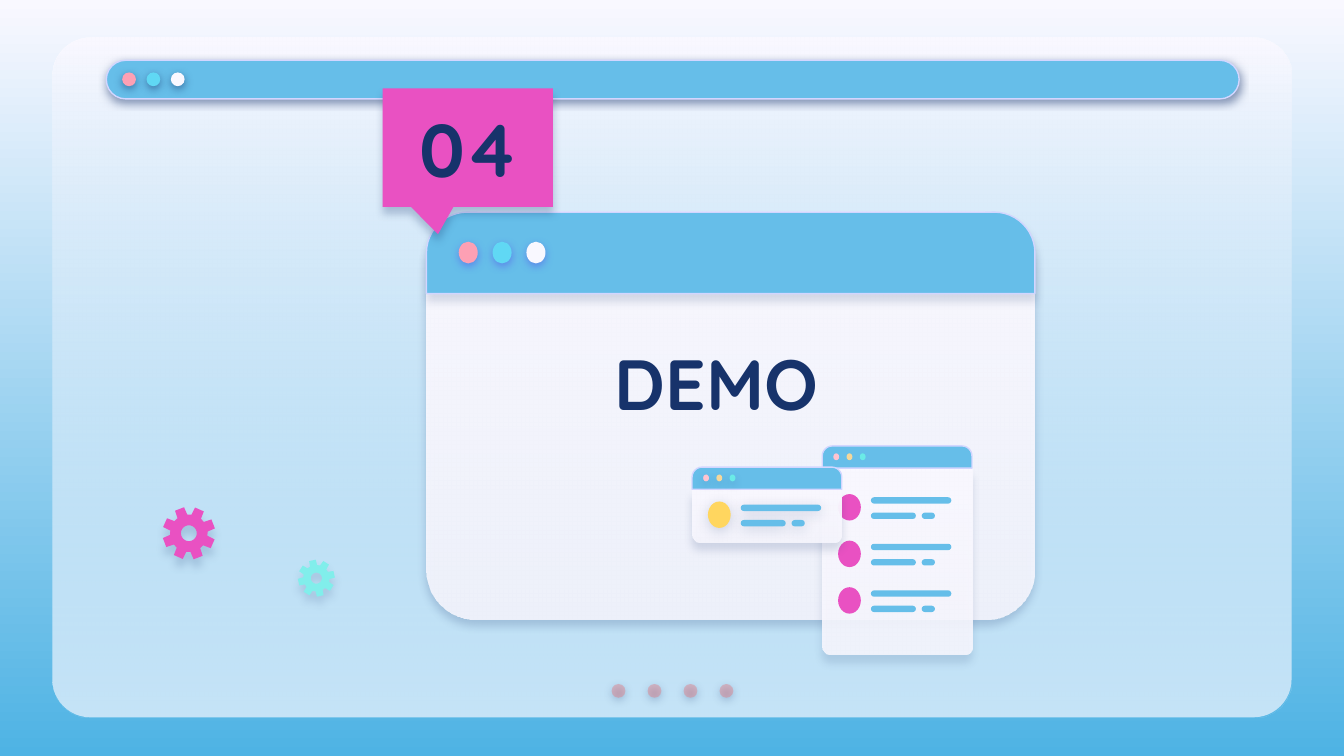
from dataclasses import dataclass
from math import cos, radians, sin
from typing import Optional

from lxml import etree
from pptx import Presentation
from pptx.dml import color
from pptx.enum import shapes, text
from pptx.oxml import ns
from pptx.util import Cm, Pt

COLOURS = {
    "navy": "17336B", "indigo": "5352EE", "white": "F9F8FF", "sky": "66BEE9",
    "deep": "4EB3E4", "edge": "D2D6FF", "magenta": "E951C2", "rose": "E27B83",
    "pink": "FDA0B4", "cyan": "60D8F4", "blush": "FFC3D0", "sand": "F5D79B",
    "aqua": "6AEBE7", "yellow": "FFD65F", "mint": "81EEEB",
}
KIND = shapes.MSO_SHAPE
WINDOW_DOTS = ("pink", "cyan", "white")
CARD_DOTS = ("blush", "sand", "aqua")


@dataclass
class Box:
    """Position and size in centimetres."""
    left: float
    top: float
    width: float
    height: float

    def lengths(self) -> list:
        return [Cm(v) for v in (self.left, self.top, self.width, self.height)]


@dataclass
class Shade:
    """Soft shadow falling downwards; blur and distance in points."""
    alpha: int
    blur: float = 4.5
    distance: float = 1.5
    colour: str = "navy"


@dataclass
class Style:
    fill: str
    alpha: int = 100
    fade: Optional[str] = None  # lower gradient colour, which alpha applies to
    edge: bool = False
    shade: Optional[Shade] = None


@dataclass
class Card:
    left: float
    top: float
    body: float
    first_row: float
    rows: int
    avatar: str
    shade: Shade
    dot_shade: Optional[Shade] = None
    row_shade: Optional[Shade] = None


def rgb(name: str) -> color.RGBColor:
    return color.RGBColor.from_string(COLOURS[name])


def add_alpha(element, percent: float) -> None:
    etree.SubElement(element, ns.qn("a:alpha"), val=str(int(percent * 1000)))


def blend(fill, top: str, bottom: str) -> None:
    fill.gradient()
    fill.gradient_angle = 270
    for stop, name in zip(fill.gradient_stops, (top, bottom)):
        stop.color.rgb = rgb(name)


def paint(shape, style: Style) -> None:
    if style.fade:
        blend(shape.fill, style.fill, style.fade)
    else:
        shape.fill.solid()
        shape.fill.fore_color.rgb = rgb(style.fill)
    properties = shape.element.spPr
    if style.alpha < 100:
        add_alpha(list(properties.iter(ns.qn("a:srgbClr")))[-1], style.alpha)
    if style.edge:
        shape.line.color.rgb = rgb("edge")
        shape.line.width = Pt(0.75)
    else:
        shape.line.fill.background()
    shape.shadow.inherit = False
    if style.shade:
        shade = style.shade
        outer = etree.SubElement(
            properties.find(ns.qn("a:effectLst")), ns.qn("a:outerShdw"),
            blurRad=str(Pt(shade.blur)), dist=str(Pt(shade.distance)),
            dir="5400000", algn="bl", rotWithShape="0")
        tint = etree.SubElement(outer, ns.qn("a:srgbClr"), val=COLOURS[shade.colour])
        add_alpha(tint, shade.alpha)


def draw(page, kind, box: Box, style: Style, *adjustments: float) -> None:
    shape = page.shapes.add_shape(kind, *box.lengths())
    for index, value in enumerate(adjustments):
        shape.adjustments[index] = value
    paint(shape, style)


def draw_dots(page, first: Box, pitch: float, names, shade=None, alpha=100) -> None:
    for index, name in enumerate(names):
        box = Box(first.left + index * pitch, first.top, first.width, first.height)
        draw(page, KIND.OVAL, box, Style(name, alpha, shade=shade))


def draw_card(page, card: Card) -> None:
    width, header = 2.83, 0.42
    draw(page, KIND.ROUND_2_SAME_RECTANGLE,
         Box(card.left, card.top + header, width, card.body),
         Style("white", 87, "white", shade=card.shade), 0, 0.16 / min(width, card.body))
    draw(page, KIND.ROUND_2_SAME_RECTANGLE, Box(card.left, card.top, width, header),
         Style("sky", edge=True), 0.45, 0)
    draw_dots(page, Box(card.left + 0.21, card.top + 0.14, 0.11, 0.13), 0.25,
              CARD_DOTS, card.dot_shade)
    bar = Style("sky", shade=card.row_shade)
    for row in range(card.rows):
        top = card.top + card.first_row + row * 0.88
        draw(page, KIND.OVAL, Box(card.left + 0.3, top, 0.43, 0.5),
             Style(card.avatar, shade=card.row_shade))
        for left, drop, length in ((0.92, 0.06, 1.52), (0.92, 0.35, 0.85), (1.88, 0.35, 0.25)):
            draw(page, KIND.ROUNDED_RECTANGLE,
                 Box(card.left + left, top + drop, length, 0.12), bar, 0.5)


def draw_gear(page, x: float, y: float, radius: float, tilt: float, style: Style) -> None:
    def point(angle: float, reach: float) -> tuple:
        turn = radians(angle)
        return Cm(x + radius * reach * sin(turn)), Cm(y - radius * reach * cos(turn))

    profile = ((-16, 0.71), (-10.5, 1), (10.5, 1), (16, 0.71))
    rim = [point(tilt + 45 * tooth + angle, reach)
           for tooth in range(8) for angle, reach in profile]
    hole = [point(-angle, 0.3) for angle in range(0, 360, 15)]
    builder = page.shapes.build_freeform(*rim[0])
    builder.add_line_segments(rim[1:], close=True)
    builder.move_to(*hole[0])
    builder.add_line_segments(hole[1:], close=True)
    paint(builder.convert_to_shape(), style)


def write(holder, box: Box, words: str, size: int) -> None:
    holder.element.getparent().append(holder.element)  # bring to the front
    for name, value in zip(("left", "top", "width", "height"), box.lengths()):
        setattr(holder, name, value)
    frame = holder.text_frame
    layout = {"word_wrap": True, "auto_size": text.MSO_AUTO_SIZE.NONE,
              "vertical_anchor": text.MSO_ANCHOR.MIDDLE}
    layout.update({f"margin_{side}": Cm(0.25) for side in ("left", "top", "right", "bottom")})
    for name, value in layout.items():
        setattr(frame, name, value)
    para = frame.paragraphs[0]
    para.alignment = text.PP_ALIGN.CENTER
    span = para.add_run()
    span.text = words
    for name, value in {"name": "Quicksand", "size": Pt(size), "bold": True}.items():
        setattr(span.font, name, value)
    span.font.color.rgb = rgb("navy")


def main() -> None:
    deck = Presentation()
    deck.slide_width, deck.slide_height = Cm(25.4), Cm(14.29)
    page = deck.slides.add_slide(deck.slide_layouts[0])
    blend(page.background.fill, "white", "deep")
    firm = Shade(50)

    # Backdrop panel, page dots and address bar
    panel = Box(0.99, 0.71, 23.42, 12.85)
    for style in (Style("white"), Style("white", 35, "sky")):
        draw(page, KIND.ROUNDED_RECTANGLE, panel, style, 0.056)
    draw_dots(page, Box(11.56, 12.93, 0.26, 0.26), 0.68, ["rose"] * 4, firm, 44)
    draw(page, KIND.ROUNDED_RECTANGLE, Box(2.01, 1.14, 21.41, 0.73),
         Style("sky", edge=True, shade=firm), 0.5)
    draw_dots(page, Box(2.31, 1.37, 0.26, 0.26), 0.46, WINDOW_DOTS, firm)

    # Main window
    draw(page, KIND.ROUNDED_RECTANGLE, Box(8.06, 4.01, 11.5, 7.7),
         Style("white", 87, "white", shade=Shade(22, distance=3.8)), 0.124)
    draw(page, KIND.ROUND_2_SAME_RECTANGLE, Box(8.06, 4.01, 11.5, 1.54),
         Style("sky", edge=True, shade=Shade(15, distance=3.8)), 0.5, 0)
    draw_dots(page, Box(8.67, 4.57, 0.36, 0.41), 0.64, WINDOW_DOTS,
              Shade(50, colour="indigo"))
    write(page.shapes.title, Box(9.25, 5.74, 8.59, 2.95), "DEMO", 38)

    # Small cards
    draw_card(page, Card(15.54, 8.43, 3.53, 0.91, 3, "magenta", Shade(15, distance=4.5)))
    draw_card(page, Card(13.08, 8.83, 1, 0.65, 1, "yellow", Shade(16, distance=4.5),
                         Shade(17, distance=2.2), Shade(18, 6.8)))

    # Gears
    draw_gear(page, 3.57, 10.08, 0.5, -21, Style("magenta", shade=Shade(16, distance=4.5)))
    draw_gear(page, 5.98, 10.93, 0.35, -12.5, Style("mint", shade=Shade(15, distance=3.8)))

    # Section number
    draw(page, KIND.ROUNDED_RECTANGULAR_CALLOUT, Box(7.23, 1.67, 3.22, 2.24),
         Style("magenta", shade=Shade(25, distance=3.8)), -0.174, 0.731, 0)
    write(page.placeholders[1], Box(7.65, 1.75, 2.41, 2.08), "04", 40)

    deck.save("out.pptx")


if __name__ == "__main__":
    main()
